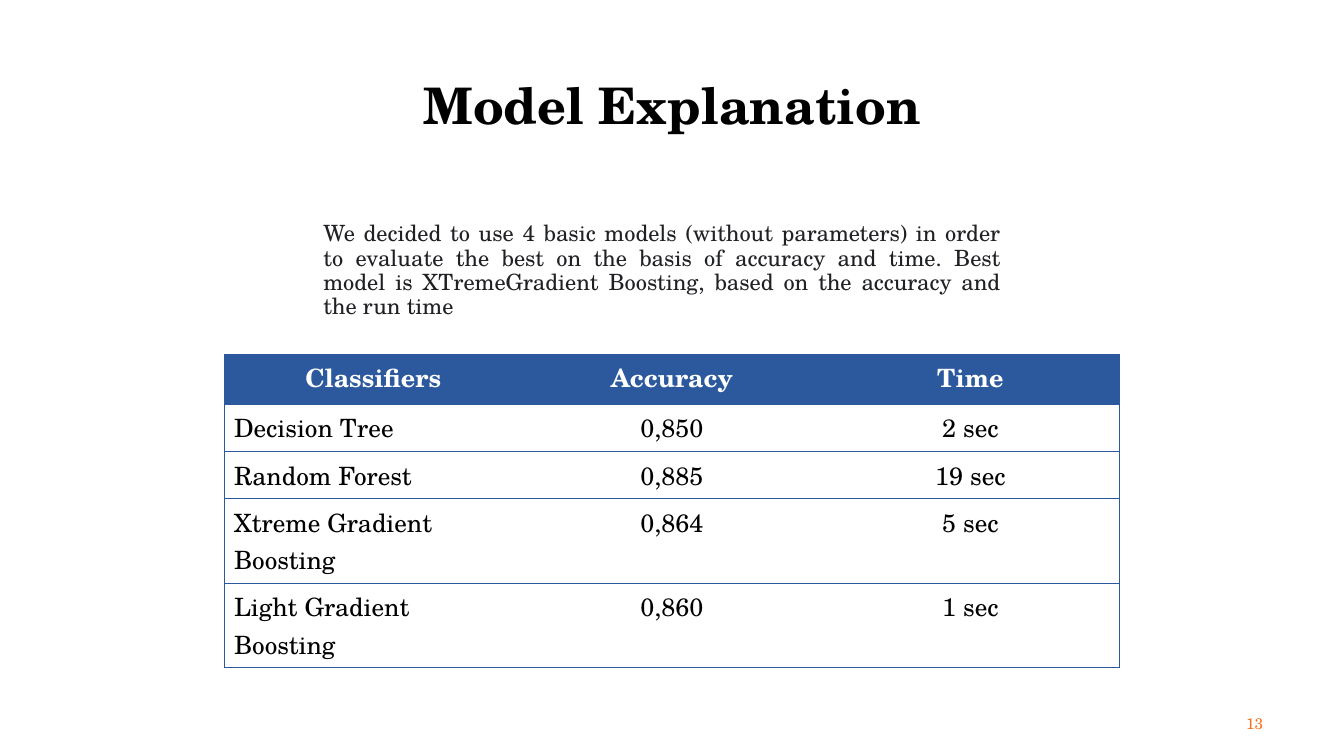
from lxml.etree import SubElement
from pptx import Presentation
from pptx.dml.color import RGBColor
from pptx.enum.text import MSO_ANCHOR, PP_ALIGN
from pptx.oxml.ns import qn
from pptx.util import Pt

COLORS = {"blue": "2C599D", "black": "000000", "white": "FFFFFF",
          "body": "202124", "orange": "FA6F1A"}
FONT = "TeX Gyre Schola"

TEXTS = [
    {"text": "13", "box": (693.4, 502.6, 216, 28.8), "size": 11, "color": "orange",
     "frame": {"vertical_anchor": MSO_ANCHOR.MIDDLE},
     "paragraph": {"alignment": PP_ALIGN.RIGHT}},
    {"text": "Model Explanation", "box": (66.2, 49.7, 828, 55.4), "size": 36,
     "color": "black", "bold": True,
     "frame": {"vertical_anchor": MSO_ANCHOR.MIDDLE},
     "paragraph": {"alignment": PP_ALIGN.CENTER, "line_spacing": 0.9}},
    {"text": "We decided to use 4 basic models (without parameters) in order to "
             "evaluate the best on the basis of accuracy and time. Best model is "
             "XTremeGradient Boosting, based on the accuracy and the run time",
     "box": (223.9, 155.5, 491, 88.6), "size": 16, "color": "body",
     "frame": {"margin_right": Pt(0)},
     "paragraph": {"alignment": PP_ALIGN.JUSTIFY, "line_spacing": 0.9,
                   "space_before": Pt(10)}},
]

CLASSIFIERS = [
    ("Classifiers", "Accuracy", "Time"),
    ("Decision Tree", "0,850", "2 sec"),
    ("Random Forest", "0,885", "19 sec"),
    ("Xtreme Gradient Boosting", "0,864", "5 sec"),
    ("Light Gradient Boosting", "0,860", "1 sec"),
]
TABLE_LEFT, TABLE_TOP, COLUMN_WIDTH = 160, 253.2, 213.3
ROW_HEIGHTS = (35.3, 33.5, 33.5, 60.4, 60.4)
LINE_HEIGHT = 26.6


def apply(target, values):
    for name, value in values.items():
        setattr(target, name, value)


def write(frame, text, size, color, bold, paragraph_format):
    paragraph = frame.paragraphs[0]
    apply(paragraph, paragraph_format)
    run = paragraph.add_run()
    run.text = text
    apply(run.font, {"name": FONT, "size": Pt(size), "bold": bold})
    run.font.color.rgb = RGBColor.from_string(COLORS[color])


def add_text(slide, item):
    shape = slide.shapes.add_textbox(*map(Pt, item["box"]))
    apply(shape.text_frame, {"word_wrap": True, **item["frame"]})
    write(shape.text_frame, item["text"], item["size"], item["color"],
          item.get("bold", False), item["paragraph"])


def add_borders(cell, visible):
    properties = cell._tc.get_or_add_tcPr()
    for position, side in enumerate("LRTB"):
        line = SubElement(properties, qn(f"a:ln{side}"), w=str(Pt(0.5)))
        properties.insert(position, line)
        if side in visible:
            fill = SubElement(line, qn("a:solidFill"))
            SubElement(fill, qn("a:srgbClr"), val=COLORS["blue"])
        else:
            SubElement(line, qn("a:noFill"))


def add_classifier_table(slide):
    column_count = len(CLASSIFIERS[0])
    table = slide.shapes.add_table(
        len(CLASSIFIERS), column_count, Pt(TABLE_LEFT), Pt(TABLE_TOP),
        Pt(COLUMN_WIDTH * column_count), Pt(sum(ROW_HEIGHTS))).table
    for column in table.columns:
        column.width = Pt(COLUMN_WIDTH)
    for row_index, (values, height) in enumerate(zip(CLASSIFIERS, ROW_HEIGHTS)):
        table.rows[row_index].height = Pt(height)
        header = row_index == 0
        for column_index, value in enumerate(values):
            cell = table.cell(row_index, column_index)
            cell.fill.solid()
            cell.fill.fore_color.rgb = RGBColor.from_string(
                COLORS["blue" if header else "white"])
            left_aligned = column_index == 0 and not header
            write(cell.text_frame, value, 18, "white" if header else "black", header,
                  {"alignment": PP_ALIGN.LEFT if left_aligned else PP_ALIGN.CENTER,
                   "line_spacing": Pt(LINE_HEIGHT)})
            outer = {0: "L", column_count - 1: "R"}.get(column_index, "")
            add_borders(cell, "TB" + outer)


def main():
    presentation = Presentation()
    apply(presentation, {"slide_width": Pt(960), "slide_height": Pt(540)})
    slide = presentation.slides.add_slide(presentation.slide_layouts[6])
    for item in TEXTS:
        add_text(slide, item)
    add_classifier_table(slide)
    presentation.save("out.pptx")


if __name__ == "__main__":
    main()
